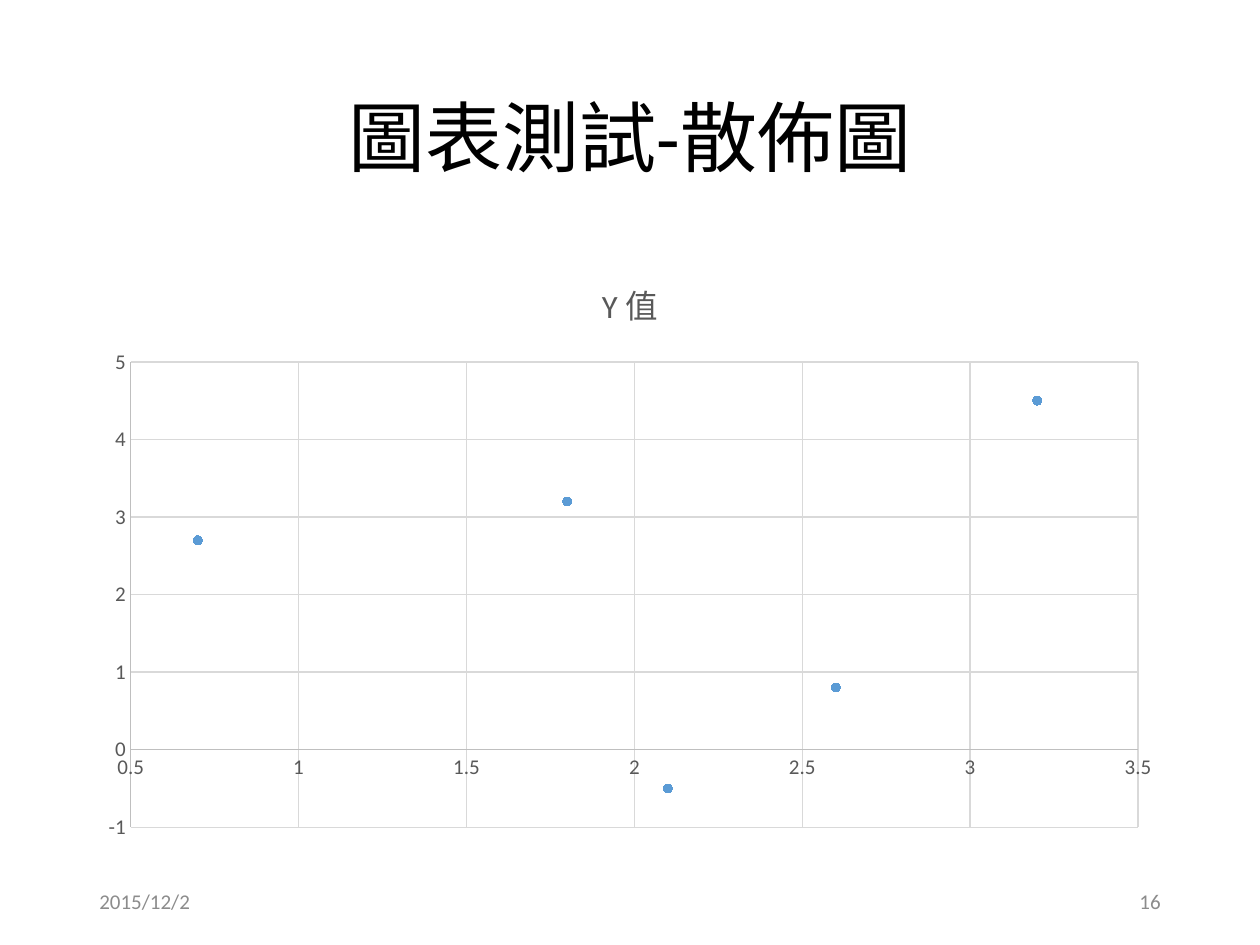
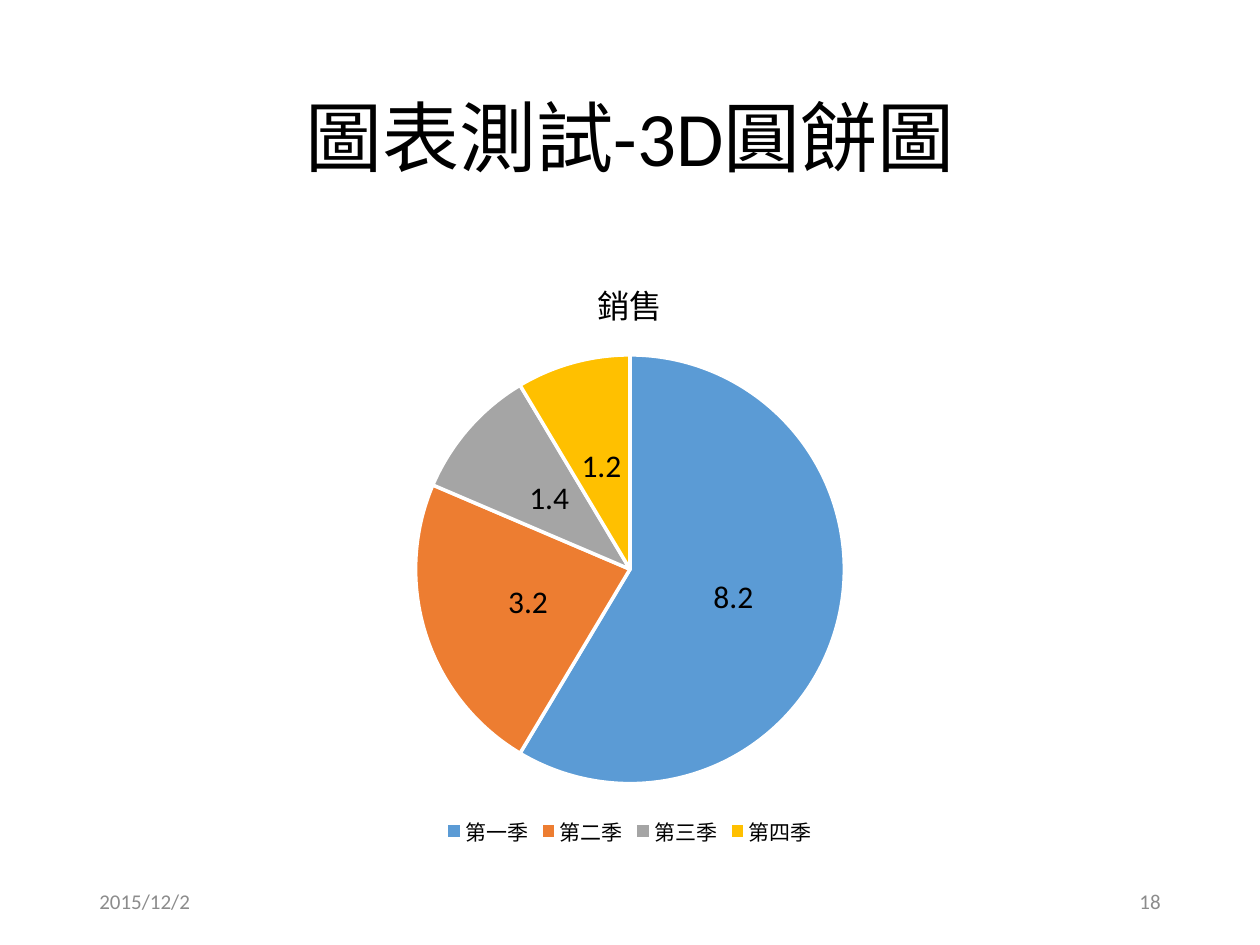
from pptx import Presentation
from pptx.chart.data import CategoryChartData, XyChartData
from pptx.dml.color import RGBColor
from pptx.enum.chart import (XL_CHART_TYPE, XL_LABEL_POSITION, XL_LEGEND_POSITION,
                             XL_MARKER_STYLE, XL_TICK_MARK)
from pptx.enum.text import MSO_ANCHOR, PP_ALIGN
from pptx.util import Inches, Pt

COLORS = {"black": "000000", "white": "FFFFFF", "axis_text": "595959", "axis": "BFBFBF",
          "grid": "D9D9D9", "footer": "8C8C8C", "blue": "5B9BD5", "orange": "ED7D31",
          "gray": "A5A5A5", "gold": "FFC000"}
FONT = "Calibri"
LEFT, WIDTH = 0.69, 8.62
FOOTER_WIDTH = 2.25


def rgb(name):
    return RGBColor.from_string(COLORS[name])


class Deck:
    """Holds the shared style and the slide being built."""

    def __init__(self):
        self.prs = Presentation()
        self.prs.slide_width, self.prs.slide_height = Inches(10), Inches(7.5)
        self.s = None

    def style(self, font, size, color):
        for name, value in {"name": FONT, "size": Pt(size), "bold": False}.items():
            setattr(font, name, value)
        font.color.rgb = rgb(color)

    def add_text(self, sp, text, size, color, align):
        tf = sp.text_frame
        for name, value in {"word_wrap": True, "vertical_anchor": MSO_ANCHOR.MIDDLE}.items():
            setattr(tf, name, value)
        p = tf.paragraphs[0]
        p.alignment = align
        r = p.add_run()
        r.text = text
        self.style(r.font, size, color)
        return p

    def slide(self, title, number):
        self.s = self.prs.slides.add_slide(self.prs.slide_layouts[5])
        self.s.background.fill.solid()
        self.s.background.fill.fore_color.rgb = rgb("white")
        sp = self.s.shapes.title
        box = {"left": LEFT, "top": 0.4, "width": WIDTH, "height": 1.45}
        for name, value in box.items():
            setattr(sp, name, Inches(value))
        self.add_text(sp, title, 44, "black", PP_ALIGN.CENTER).line_spacing = 0.9
        self.footer("2015/12/2", LEFT, PP_ALIGN.LEFT)
        self.footer(number, LEFT + WIDTH - FOOTER_WIDTH, PP_ALIGN.RIGHT)

    def footer(self, text, left, align):
        sp = self.s.shapes.add_textbox(Inches(left), Inches(6.95),
                                       Inches(FOOTER_WIDTH), Inches(0.4))
        self.add_text(sp, text, 12, "footer", align)

    def chart(self, kind, data, title, color):
        frame = self.s.shapes.add_chart(kind, Inches(LEFT), Inches(2),
                                        Inches(WIDTH), Inches(4.76), data)
        chart = frame.chart
        self.style(chart.font, 10, "black")
        chart.has_legend = False
        chart.has_title = True
        tf = chart.chart_title.text_frame
        tf.text = title
        self.style(tf.paragraphs[0].runs[0].font, 18.6, color)
        chart.chart_title.include_in_layout = False
        return chart

    def axis(self, axis, low, high, step):
        values = {"minimum_scale": low, "maximum_scale": high, "major_unit": step,
                  "major_tick_mark": XL_TICK_MARK.NONE, "minor_tick_mark": XL_TICK_MARK.NONE,
                  "has_major_gridlines": True}
        for name, value in values.items():
            setattr(axis, name, value)
        self.style(axis.tick_labels.font, 12, "axis_text")
        axis.tick_labels.number_format = "General"
        axis.tick_labels.number_format_is_linked = False
        for line, color in ((axis.format.line, "axis"),
                            (axis.major_gridlines.format.line, "grid")):
            line.color.rgb = rgb(color)
            line.width = Pt(0.75)

    def scatter(self, name, points):
        data = XyChartData()
        series = data.add_series(name)
        for x, y in points:
            series.add_data_point(x, y)
        chart = self.chart(XL_CHART_TYPE.XY_SCATTER, data, name, "axis_text")
        self.axis(chart.category_axis, 0.5, 3.5, 0.5)
        self.axis(chart.value_axis, -1, 5, 1)
        chart.plots[0].vary_by_categories = False
        series = chart.plots[0].series[0]
        series.smooth = False
        series.format.line.fill.background()
        marker = series.marker
        marker.style, marker.size = XL_MARKER_STYLE.CIRCLE, 5
        marker.format.fill.solid()
        marker.format.fill.fore_color.rgb = rgb("blue")
        marker.format.line.color.rgb = rgb("blue")

    def pie(self, name, slices):
        data = CategoryChartData()
        data.categories = [label for label, _, _ in slices]
        data.add_series(name, [value for _, value, _ in slices])
        chart = self.chart(XL_CHART_TYPE.PIE, data, name, "black")
        chart.has_legend = True
        chart.legend.position = XL_LEGEND_POSITION.BOTTOM
        chart.legend.include_in_layout = False
        self.style(chart.legend.font, 12, "black")
        plot = chart.plots[0]
        plot.vary_by_categories = True
        for i, (_, _, color) in enumerate(slices):
            fmt = plot.series[0].points[i].format
            fmt.fill.solid()
            fmt.fill.fore_color.rgb = rgb(color)
            fmt.line.color.rgb = rgb("white")
            fmt.line.width = Pt(2)
        labels = plot.series[0].data_labels
        labels.show_value = True
        labels.position = XL_LABEL_POSITION.CENTER
        self.style(labels.font, 18, "black")


def main():
    deck = Deck()
    deck.slide("圖表測試-散佈圖", "16")
    deck.scatter("Y 值", [(0.7, 2.7), (1.8, 3.2), (2.6, 0.8), (2.1, -0.5), (3.2, 4.5)])
    deck.slide("圖表測試-3D圓餅圖", "18")
    deck.pie("銷售", [("第一季", 8.2, "blue"), ("第二季", 3.2, "orange"),
                    ("第三季", 1.4, "gray"), ("第四季", 1.2, "gold")])
    deck.prs.save("out.pptx")


if __name__ == "__main__":
    main()
